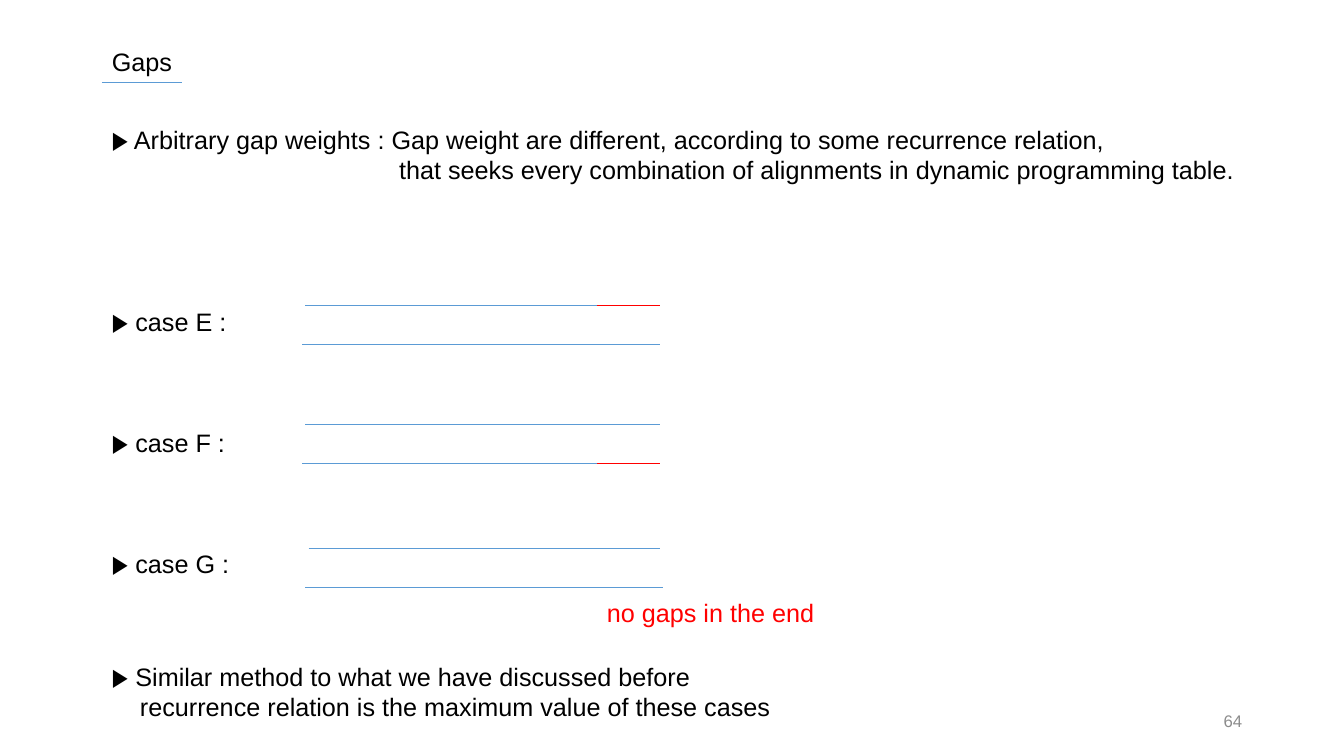
from lxml.etree import SubElement
from pptx import Presentation
from pptx.dml.color import RGBColor
from pptx.enum.shapes import MSO_CONNECTOR as Connector
from pptx.enum.text import MSO_ANCHOR as Anchor, MSO_AUTO_SIZE as AutoSize, PP_ALIGN as Align
from pptx.oxml.ns import qn
from pptx.util import Emu, Pt

PX = 9144
BLACK = RGBColor(0x00, 0x00, 0x00)
BLUE = RGBColor(0x5B, 0x9B, 0xD5)
RED = RGBColor(0xFF, 0x00, 0x00)
GRAY = RGBColor(0x8C, 0x8C, 0x8C)
MARGIN = 101
GAP_START, STRAND_END = 592, 655
STRAND_GAP = 39

INTRO = [
    ("▶ Arbitrary gap weights : Gap weight are different, according to some recurrence relation,", 0, 0),
    ("that seeks every combination of alignments in dynamic programming table.", 285, 0),
    ("▶ case E :", 0, 87),
    ("▶ case F :", 0, 65),
    ("▶ case G :", 0, 65),
]
SUMMARY = [
    ("▶ Similar method to what we have discussed before", 0, 0),
    ("recurrence relation is the maximum value of these cases", 28, 0),
]
CASES = [
    (303, [(303, GAP_START, True), (300, STRAND_END, False)]),
    (421, [(303, STRAND_END, False), (300, GAP_START, True)]),
    (544, [(306, STRAND_END, False), (303, 658, False)]),
]


def px(length):
    """Turn px into EMU."""
    return Emu(length * PX)


def fill_text(shape, lines, color=BLACK, size=18, align=Align.LEFT, anchor=Anchor.TOP):
    """Write lines of (text, indent in px, space before in points) into a shape."""
    frame = shape.text_frame
    frame.word_wrap = True
    frame.auto_size = AutoSize.NONE
    frame.vertical_anchor = anchor
    frame.text = "\n".join(text for text, _, _ in lines)
    for para, (_, indent, before) in zip(frame.paragraphs, lines):
        para.alignment = align
        if indent:
            para._p.get_or_add_pPr().set("marL", str(px(indent)))
        if before:
            para.space_before = Pt(before)
        for span in para.runs:
            span.font.name = "Arial"
            span.font.size = Pt(size)
            span.font.color.rgb = color


def add_text(page, box, lines, **style):
    """Add a text box at (left, top, width, height)."""
    fill_text(page.shapes.add_textbox(*map(px, box)), lines, **style)


def add_rule(page, left, right, top, color=BLUE):
    """Draw a thin horizontal line."""
    rule = page.shapes.add_connector(Connector.STRAIGHT, px(left), px(top), px(right), px(top))
    rule.line.color.rgb = color
    rule.line.width = Pt(0.5)
    SubElement(rule._element.spPr, qn("a:effectLst"))


def add_heading(page, box, text):
    """Place the title and its underline."""
    left, top, _, height = box
    title = page.shapes.title
    title.left, title.top, title.width, title.height = map(px, box)
    fill_text(title, [(text, 0, 0)])
    add_rule(page, left, left + 80, top + height + 1)


def add_case(page, top, strands):
    """Draw the two aligned strands of a case, with any end gap in red."""
    for row, (left, right, has_gap) in enumerate(strands):
        level = top + row * STRAND_GAP
        add_rule(page, left, right, level)
        if has_gap:
            add_rule(page, right, STRAND_END, level, RED)


def build_gaps_slide(deck):
    """Build the slide on arbitrary gap weights."""
    page = deck.slides.add_slide(deck.slide_layouts[5])
    add_heading(page, (MARGIN, 41, 734, 40), "Gaps")
    add_text(page, (MARGIN, 118, 1174, 464), INTRO)
    for top, strands in CASES:
        add_case(page, top, strands)
    add_text(page, (GAP_START, 588, 289, 40), [("no gaps in the end", 0, 0)], color=RED)
    add_text(page, (MARGIN, 651, 748, 71), SUMMARY)
    add_text(page, (942, 695, 300, 40), [("64", 0, 0)], color=GRAY, size=12,
             align=Align.RIGHT, anchor=Anchor.MIDDLE)


def main():
    """Create and save the deck."""
    deck = Presentation()
    deck.slide_width, deck.slide_height = px(1333), px(750)
    build_gaps_slide(deck)
    deck.save("out.pptx")


if __name__ == "__main__":
    main()
